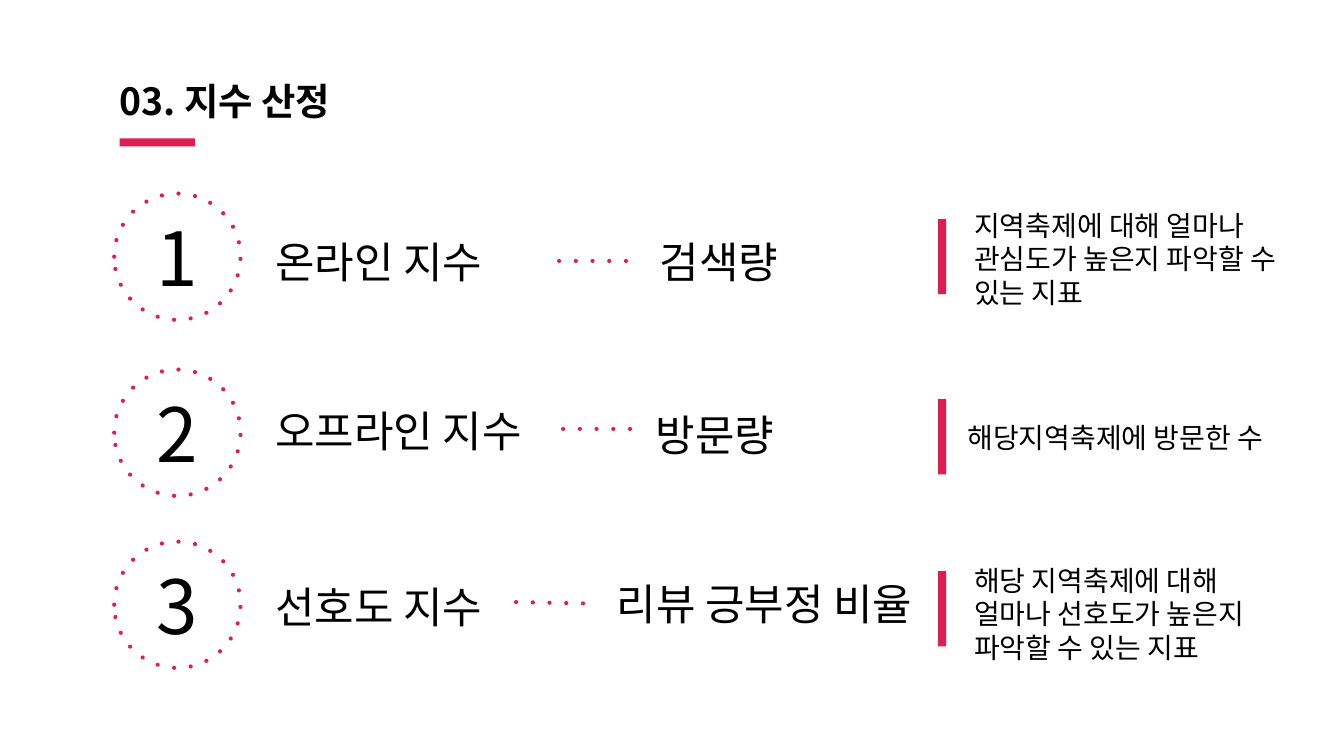
from pptx import Presentation
from pptx.dml.color import RGBColor
from pptx.enum.shapes import MSO_CONNECTOR, MSO_SHAPE
from pptx.enum.text import MSO_ANCHOR, PP_ALIGN
from pptx.oxml.ns import qn
from pptx.util import Inches, Pt
from lxml import etree

RECTANGLE, OVAL = MSO_SHAPE.RECTANGLE, MSO_SHAPE.OVAL
STRAIGHT = MSO_CONNECTOR.STRAIGHT
TOP, MIDDLE = MSO_ANCHOR.TOP, MSO_ANCHOR.MIDDLE
LEFT, CENTER = PP_ALIGN.LEFT, PP_ALIGN.CENTER

FONT = "Noto Sans CJK KR"
PINK, BLACK = "DE1E51", "000000"
CIRCLE = 0.94
BAR_LONG, BAR_THIN = 0.56, 0.06

INDEXES = [
    {
        "circle_top": 1.44,
        "name": ("온라인 지수", 1.95, 1.65, 2.07, 0.6),
        "dots": (4.16, 1.94, 4.67, 1.94),
        "measure": ("검색량", 4.81, 1.65, 2.07, 0.6),
        "bar_top": 1.88,
        "meaning": ("지역축제에 대해 얼마나 관심도가 높은지 파악할 수 있는 지표",
                    7.15, 1.45, 2.85, 0.88),
    },
    {
        "circle_top": 2.75,
        "name": ("오프라인 지수", 1.95, 2.91, 2.32, 0.6),
        "dots": (4.19, 3.19, 4.7, 3.19),
        "measure": ("방문량", 4.78, 2.94, 2.07, 0.6),
        "bar_top": 3.22,
        "meaning": ("해당지역축제에 방문한 수", 7.1, 3.03, 2.55, 0.43),
    },
    {
        "circle_top": 4.03,
        "name": ("선호도 지수", 1.95, 4.22, 1.96, 0.6),
        "dots": (3.84, 4.48, 4.34, 4.49),
        "measure": ("리뷰 긍부정 비율", 4.49, 4.2, 2.67, 0.6),
        "bar_top": 4.5,
        "meaning": ("해당 지역축제에 대해 얼마나 선호도가 높은지 파악할 수 있는 지표",
                    7.15, 4.09, 2.55, 0.88),
    },
]


def color(value):
    return RGBColor.from_string(value)


def write(box, text, size, bold=False, align=LEFT, anchor=TOP):
    frame = box.text_frame
    frame.word_wrap = True
    frame.vertical_anchor = anchor
    frame.margin_left = frame.margin_right = Inches(0.1)
    frame.margin_top = frame.margin_bottom = Inches(0.1)
    para = frame.paragraphs[0]
    para.alignment = align
    span = para.add_run()
    span.text = text
    span.font.name = FONT
    span.font.size = Pt(size)
    span.font.bold = bold
    span.font.color.rgb = color(BLACK)
    east_asian = etree.SubElement(span.font._element, qn("a:ea"))
    east_asian.set("typeface", FONT)


def add_text(page, text, left, top, width, height, size, **style):
    box = page.shapes.add_textbox(
        Inches(left), Inches(top), Inches(width), Inches(height))
    write(box, text, size, **style)


def add_bar(page, left, top, rotation=0):
    bar = page.shapes.add_shape(
        RECTANGLE, Inches(left), Inches(top), Inches(BAR_LONG), Inches(BAR_THIN))
    bar.rotation = rotation
    bar.shadow.inherit = False
    bar.fill.solid()
    bar.fill.fore_color.rgb = color(PINK)
    bar.line.fill.background()


def set_dotted(shape):
    shape.line.color.rgb = color(PINK)
    shape.line.width = Pt(2.25)
    outline = shape._element.spPr.find(qn("a:ln"))
    outline.set("cap", "rnd")
    etree.SubElement(outline, qn("a:prstDash")).set("val", "dot")


def add_number(page, number, top):
    circle = page.shapes.add_shape(
        OVAL, Inches(0.85), Inches(top), Inches(CIRCLE), Inches(CIRCLE))
    circle.shadow.inherit = False
    circle.fill.background()
    set_dotted(circle)
    write(circle, str(number), 40, align=CENTER, anchor=MIDDLE)


def add_dots(page, x1, y1, x2, y2):
    dots = page.shapes.add_connector(
        STRAIGHT, Inches(x1), Inches(y1), Inches(x2), Inches(y2))
    set_dotted(dots)
    etree.SubElement(dots._element.spPr, qn("a:effectLst"))


def add_index(page, number, index):
    add_number(page, number, index["circle_top"])
    add_text(page, *index["name"], 23)
    add_dots(page, *index["dots"])
    add_text(page, *index["measure"], 23)
    add_bar(page, 6.73, index["bar_top"], rotation=90)
    add_text(page, *index["meaning"], 15)


def main():
    deck = Presentation()
    deck.slide_width, deck.slide_height = Inches(10), Inches(10 * 9 / 16)
    page = deck.slides.add_slide(deck.slide_layouts[6])
    add_text(page, "03. 지수 산정", 0.79, 0.53, 8.43, 0.43, 20,
             bold=True, anchor=MIDDLE)
    add_bar(page, 0.89, 1.03)
    for number, index in enumerate(INDEXES, 1):
        add_index(page, number, index)
    deck.save("out.pptx")


if __name__ == "__main__":
    main()
